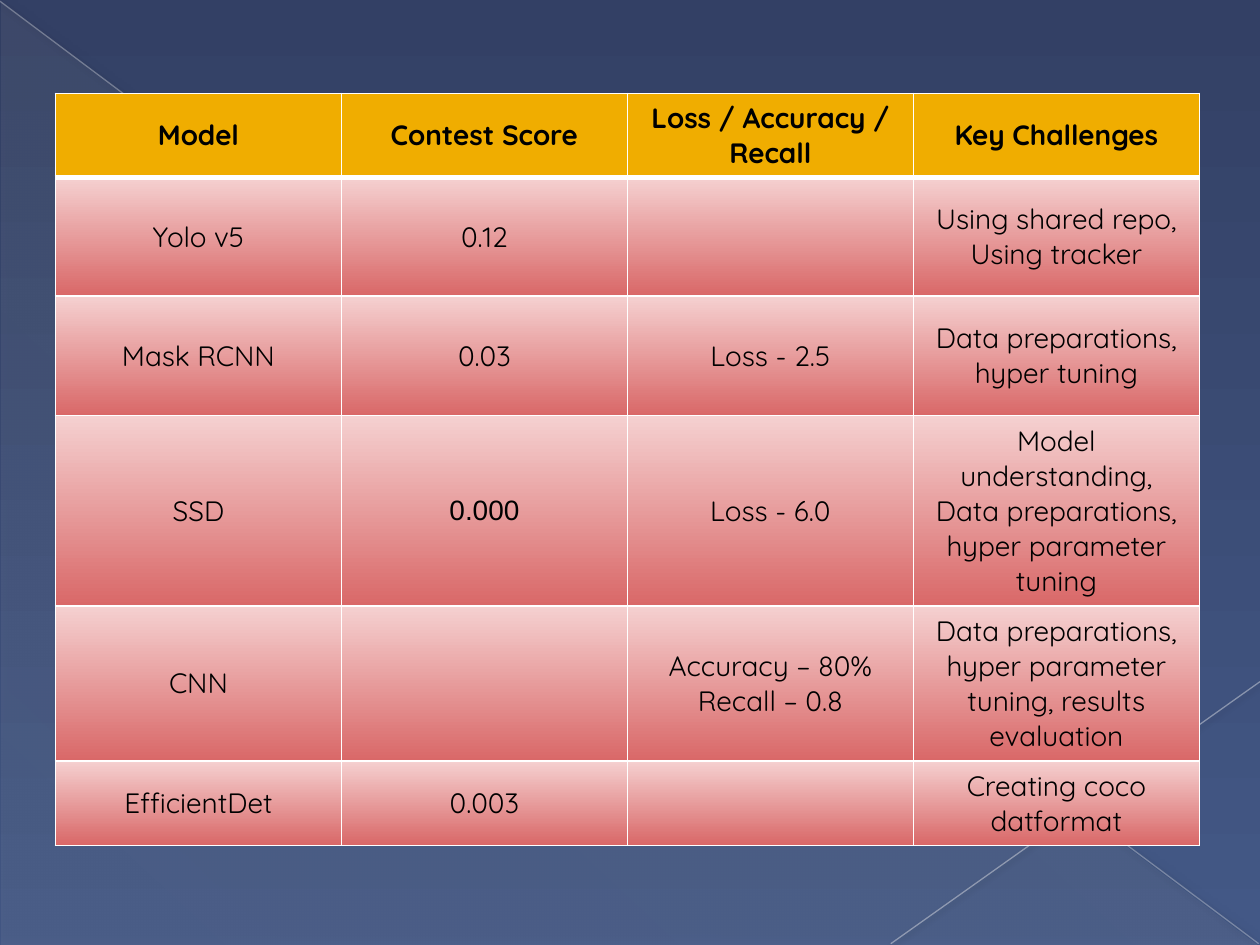
from lxml import etree
from pptx import Presentation
from pptx.dml.color import RGBColor
from pptx.enum.shapes import MSO_CONNECTOR, MSO_SHAPE
from pptx.enum.text import MSO_ANCHOR, PP_ALIGN
from pptx.oxml.ns import qn
from pptx.util import Inches, Pt

STRAIGHT = MSO_CONNECTOR.STRAIGHT
RIGHT_TRIANGLE = MSO_SHAPE.RIGHT_TRIANGLE
MIDDLE = MSO_ANCHOR.MIDDLE
CENTER = PP_ALIGN.CENTER

COLUMN_WIDTH = 2.27
ROW_HEIGHTS = [0.67, 0.94, 0.95, 1.51, 1.23, 0.67]
ROWS = [
    ["Model", "Contest Score", "Loss / Accuracy / Recall", "Key Challenges"],
    ["Yolo v5", "0.12", "", "Using shared repo, Using tracker"],
    ["Mask RCNN", "0.03", "Loss - 2.5", "Data preparations, hyper tuning"],
    ["SSD", "0.000", "Loss - 6.0",
     "Model understanding, Data preparations, hyper parameter tuning"],
    ["CNN", "", "Accuracy – 80%\nRecall – 0.8",
     "Data preparations, hyper parameter tuning, results evaluation"],
    ["EfficientDet", "0.003", "", "Creating coco datformat"],
]


def color(code):
    return RGBColor.from_string(code)


def add_node(parent, tag, **attributes):
    node = etree.SubElement(parent, qn(tag))
    for name, value in attributes.items():
        node.set(name, str(value))
    return node


def set_alpha(element, percents):
    for node, percent in zip(element.iter(qn("a:srgbClr")), percents):
        add_node(node, "a:alpha", val=percent * 1000)


def set_gradient(fill, start, end, angle):
    """Fill with two colours; the angle runs clockwise."""
    fill.gradient()
    fill.gradient_angle = 360 - angle
    for stop, code in zip(fill.gradient_stops, (start, end)):
        stop.color.rgb = color(code)


def set_shadow(shape, opacity, blur, distance, angle):
    effects = add_node(shape.element.spPr, "a:effectLst")
    shadow = add_node(effects, "a:outerShdw", blurRad=Pt(blur), dist=Pt(distance),
                      dir=angle * 60000, algn="ctr", rotWithShape=0)
    add_node(shadow, "a:srgbClr", val="000000")
    set_alpha(shadow, [opacity])


class SlideBuilder:
    font = "Quicksand"
    number_font = "Arial"
    size = 16
    text = "000000"
    border = "FFFFFF"
    header = "F0AD00"
    body = ("F5D0D0", "D96868")

    def __init__(self, page):
        self.page = page

    def background(self, start, end):
        set_gradient(self.page.background.fill, start, end, 90)

    def triangle(self, left, top, width, height, code, opacities):
        shape = self.page.shapes.add_shape(
            RIGHT_TRIANGLE, Inches(left), Inches(top), Inches(width), Inches(height))
        set_gradient(shape.fill, code, code, 133)
        set_alpha(shape.element.spPr, opacities)
        shape.line.fill.background()
        set_shadow(shape, 49, 5, 2, 245)

    def line(self, start, end, code, opacity):
        points = [Inches(value) for value in (*start, *end)]
        connector = self.page.shapes.add_connector(STRAIGHT, *points)
        connector.line.color.rgb = color(code)
        connector.line.width = Pt(0.75)
        set_alpha(connector.element.spPr, [opacity])
        set_shadow(connector, 37, 3.1, 1.6, 90)

    def borders(self, cell, top, bottom):
        properties = cell._tc.get_or_add_tcPr()
        sides = {"L": 0.96, "R": 0.96, "T": top, "B": bottom}
        for index, (side, width) in enumerate(sides.items()):
            line = add_node(properties, f"a:ln{side}", w=Pt(width))
            add_node(add_node(line, "a:solidFill"), "a:srgbClr", val=self.border)
            properties.insert(index, line)

    def cell(self, cell, content, row):
        cell.text = content
        cell.vertical_anchor = MIDDLE
        for para in cell.text_frame.paragraphs:
            para.alignment = CENTER
            para.font.name = self.number_font if content == "0.000" else self.font
            para.font.size = Pt(self.size)
            para.font.bold = row == 0
            para.font.color.rgb = color(self.text)
        if row == 0:
            cell.fill.solid()
            cell.fill.fore_color.rgb = color(self.header)
        else:
            set_gradient(cell.fill, *self.body, 90)
        self.borders(cell, 3 if row == 1 else 0.96, 3 if row == 0 else 0.96)

    def table(self, left, top, rows, heights, column_width):
        count = len(rows[0])
        table = self.page.shapes.add_table(
            len(rows), count, Inches(left), Inches(top),
            Inches(column_width * count), Inches(sum(heights))).table
        for column in table.columns:
            column.width = Inches(column_width)
        for row, (contents, height) in enumerate(zip(rows, heights)):
            table.rows[row].height = Inches(height)
            for column, content in enumerate(contents):
                self.cell(table.cell(row, column), content, row)


def main():
    deck = Presentation()
    deck.slide_width, deck.slide_height = Inches(10), Inches(7.5)
    builder = SlideBuilder(deck.slides.add_slide(deck.slide_layouts[6]))

    # Backdrop
    builder.background("334065", "435886")
    builder.triangle(0.01, 0.02, 9.98, 7.48, "D4D4D6", [9, 7])
    builder.line((0, 0.01), (9.99, 7.49), "E8E8EA", 35)
    builder.line((10, 5.41), (7.07, 7.49), "EAEAEC", 44)

    # Model comparison
    builder.table(0.44, 0.74, ROWS, ROW_HEIGHTS, COLUMN_WIDTH)

    deck.save("out.pptx")


if __name__ == "__main__":
    main()
